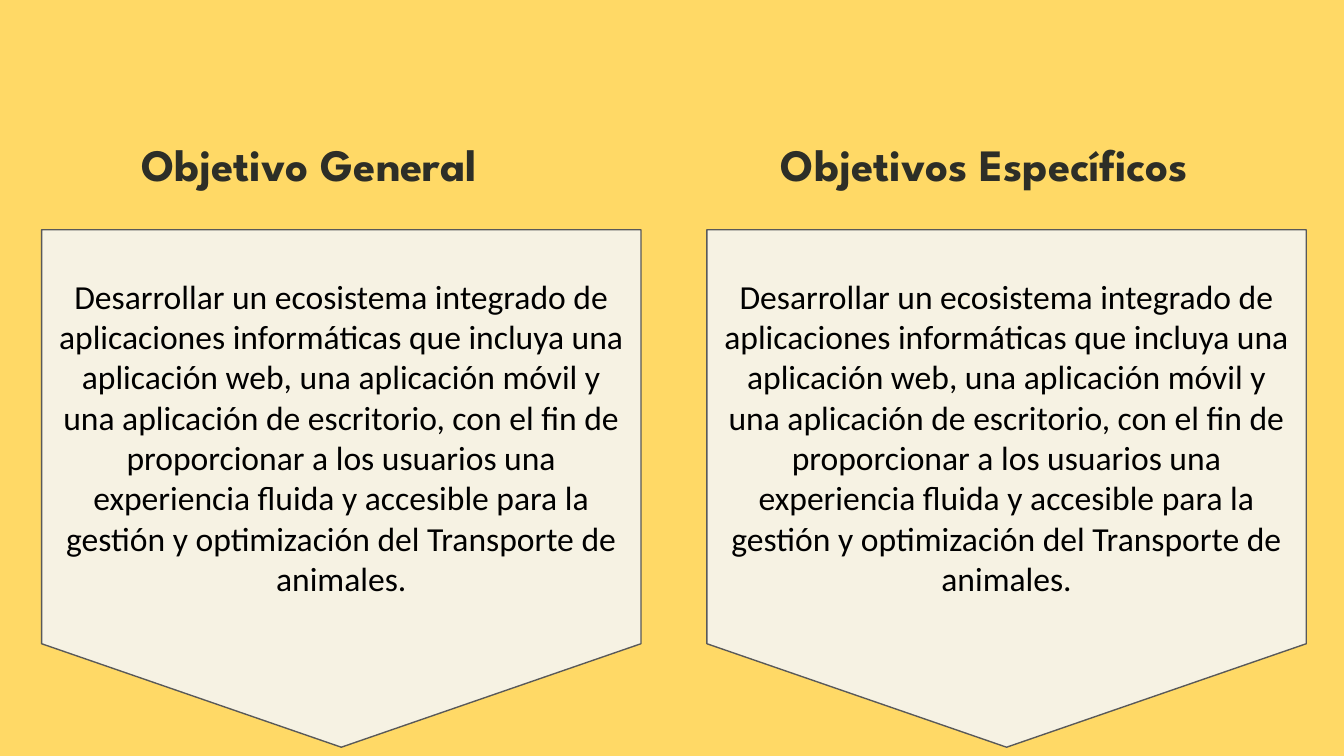
from dataclasses import dataclass

from pptx import Presentation
from pptx.dml.color import RGBColor
from pptx.enum.shapes import MSO_SHAPE
from pptx.enum.text import MSO_ANCHOR, MSO_AUTO_SIZE, PP_ALIGN
from pptx.util import Inches, Pt


@dataclass(frozen=True)
class Theme:
    background: RGBColor = RGBColor.from_string("FFD966")
    heading: RGBColor = RGBColor.from_string("2D2E27")
    panel: RGBColor = RGBColor.from_string("F6F2E3")
    outline: RGBColor = RGBColor.from_string("595959")
    body: RGBColor = RGBColor.from_string("000000")
    heading_font: str = "League Spartan"
    body_font: str = "Calibri"
    heading_size: Pt = Pt(24)
    body_size: Pt = Pt(18)
    outline_width: Pt = Pt(0.75)


theme = Theme()

OBJECTIVE = (
    "Desarrollar un ecosistema integrado de aplicaciones informáticas que incluya "
    "una aplicación web, una aplicación móvil y una aplicación de escritorio, con el "
    "fin de proporcionar a los usuarios una experiencia fluida y accesible para la "
    "gestión y optimización del Transporte de animales."
)
# heading, heading left, heading width, panel left, panel text
COLUMNS = [
    ("Objetivo General", 0.95, 3.07, 0.31, OBJECTIVE),
    ("Objetivos Específicos", 5.71, 3.76, 5.26, OBJECTIVE),
]


def write_text(shape, text, anchor, alignment, font_name, size, color, bold):
    frame = shape.text_frame
    frame.word_wrap = True
    frame.auto_size = MSO_AUTO_SIZE.NONE
    frame.vertical_anchor = anchor
    frame.margin_left = frame.margin_right = Inches(0.1)
    frame.margin_top = frame.margin_bottom = Inches(0.1)
    paragraph = frame.paragraphs[0]
    paragraph.alignment = alignment
    paragraph.space_before = Pt(0)
    run = paragraph.add_run()
    run.text = text
    run.font.name = font_name
    run.font.size = size
    run.font.bold = bold
    run.font.color.rgb = color


presentation = Presentation()
presentation.slide_width = Inches(10)
presentation.slide_height = Inches(10 * 9 / 16)

# The title layout offers a title and a subtitle: one heading per column.
slide = presentation.slides.add_slide(presentation.slide_layouts[0])
slide.background.fill.solid()
slide.background.fill.fore_color.rgb = theme.background

for heading, column in zip(slide.placeholders, COLUMNS):
    heading_text, heading_left, heading_width, panel_left, panel_text = column

    heading.left, heading.top = Inches(heading_left), Inches(0.69)
    heading.width, heading.height = Inches(heading_width), Inches(0.83)
    write_text(heading, heading_text, MSO_ANCHOR.BOTTOM, PP_ALIGN.LEFT,
               theme.heading_font, theme.heading_size, theme.heading, True)

    panel = slide.shapes.add_shape(
        MSO_SHAPE.FLOWCHART_OFFPAGE_CONNECTOR,
        Inches(panel_left), Inches(1.71), Inches(4.46), Inches(3.85))
    panel.shadow.inherit = False
    panel.fill.solid()
    panel.fill.fore_color.rgb = theme.panel
    panel.line.color.rgb = theme.outline
    panel.line.width = theme.outline_width
    write_text(panel, panel_text, MSO_ANCHOR.MIDDLE, PP_ALIGN.CENTER,
               theme.body_font, theme.body_size, theme.body, False)

presentation.save("out.pptx")
